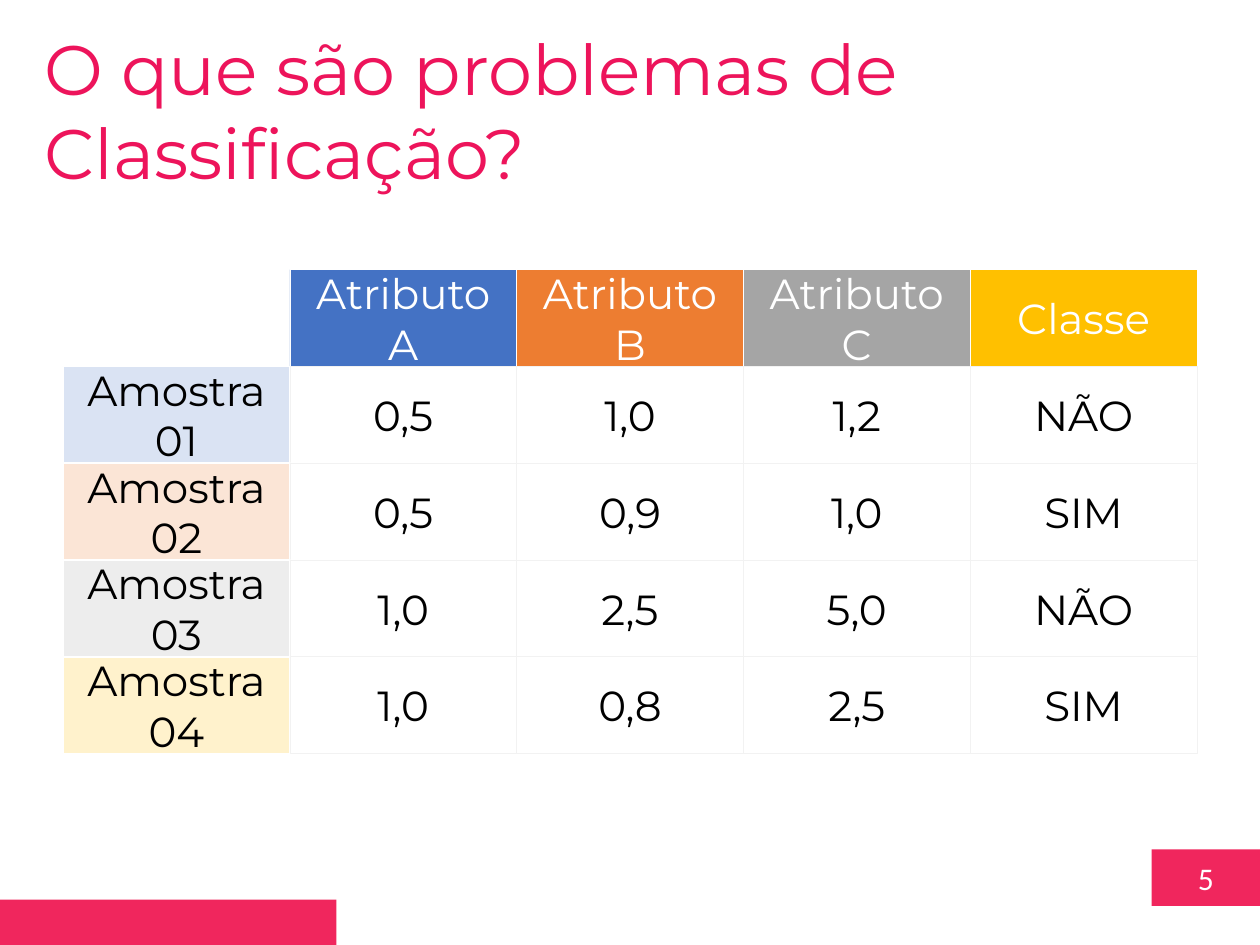
"""Build the slide on classification problems with its sample grid."""
import dataclasses
import typing

import pptx
import pptx.dml.color
import pptx.enum.shapes
import pptx.enum.text
import pptx.util

Inches = pptx.util.Inches
Align = pptx.enum.text.PP_ALIGN
Anchor = pptx.enum.text.MSO_ANCHOR

LEFT, TOP, WIDTH, HEIGHT = 0.5, 2.14, 1.8, 0.768
PINK = "F0265D"


@dataclasses.dataclass
class Head:
    text: str
    fill: str


@dataclasses.dataclass
class Sample:
    name: str
    fill: str
    values: tuple[str, ...]


HEADS = [
    Head("Atributo A", "4472C4"),
    Head("Atributo B", "ED7D31"),
    Head("Atributo C", "A5A5A5"),
    Head("Classe", "FFC000"),
]
SAMPLES = [
    Sample("Amostra 01", "DAE3F3", ("0,5", "1,0", "1,2", "NÃO")),
    Sample("Amostra 02", "FBE5D6", ("0,5", "0,9", "1,0", "SIM")),
    Sample("Amostra 03", "EDEDED", ("1,0", "2,5", "5,0", "NÃO")),
    Sample("Amostra 04", "FFF2CC", ("1,0", "0,8", "2,5", "SIM")),
]


def paint(color: typing.Any, code: str) -> None:
    color.rgb = pptx.dml.color.RGBColor.from_string(code)


def write(shape: typing.Any, text: str, *, size: float = 24, font: str = "Montserrat",
          color: str = "000000", align: Align = Align.CENTER,
          anchor: Anchor = Anchor.MIDDLE, inset: float | None = None) -> None:
    frame = shape.text_frame
    frame.word_wrap = True
    frame.auto_size = pptx.enum.text.MSO_AUTO_SIZE.NONE
    frame.vertical_anchor = anchor
    if inset is not None:
        frame.margin_left = frame.margin_right = Inches(inset)
        frame.margin_top = frame.margin_bottom = Inches(inset)
    para = frame.paragraphs[0]
    para.alignment = align
    run = para.add_run()
    run.text = text
    run.font.size = pptx.util.Pt(size)
    run.font.name = font
    paint(run.font.color, color)


def block(slide: typing.Any, left: float, top: float, width: float, height: float,
          fill: str | None = None, line: str | None = None, weight: float = 0.25) -> typing.Any:
    shape = slide.shapes.add_shape(
        pptx.enum.shapes.MSO_SHAPE.RECTANGLE,
        Inches(left), Inches(top), Inches(width), Inches(height))
    shape.shadow.inherit = False
    if fill:
        shape.fill.solid()
        paint(shape.fill.fore_color, fill)
    else:
        shape.fill.background()
    if line:
        paint(shape.line.color, line)
        shape.line.width = pptx.util.Pt(weight)
    else:
        shape.line.fill.background()
    return shape


def cell(slide: typing.Any, row: int, col: int, fill: str | None = None,
         line: str = "FFFFFF", weight: float = 0.25) -> typing.Any:
    return block(slide, LEFT + col * WIDTH, TOP + row * HEIGHT, WIDTH, HEIGHT,
                 fill, line, weight)


def main() -> None:
    deck = pptx.Presentation()
    deck.slide_width, deck.slide_height = Inches(10), Inches(7.5)
    slide = deck.slides.add_slide(deck.slide_layouts.get_by_name("Title Only"))

    number = block(slide, 9.14, 6.74, 0.86, 0.45, PINK)
    write(number, "5", size=18, font="Calibri", color="FFFFFF")
    block(slide, 0, 7.14, 2.67, 0.36, PINK)

    title = slide.shapes.title
    title.left, title.top = Inches(0.25), Inches(0.15)
    title.width, title.height = Inches(8.37), Inches(1.45)
    write(title, "O que são problemas de Classificação?", size=40, color="ED145B",
          align=Align.LEFT, anchor=Anchor.TOP)

    for col, head in enumerate(HEADS, 1):
        write(cell(slide, 0, col, head.fill), head.text, color="FFFFFF")
    for row, sample in enumerate(SAMPLES, 1):
        write(cell(slide, row, 0, sample.fill, weight=1), sample.name)
        for col, value in enumerate(sample.values, 1):
            write(cell(slide, row, col, line="F2F2F2"), value, inset=0)

    deck.save("out.pptx")


if __name__ == "__main__":
    main()
